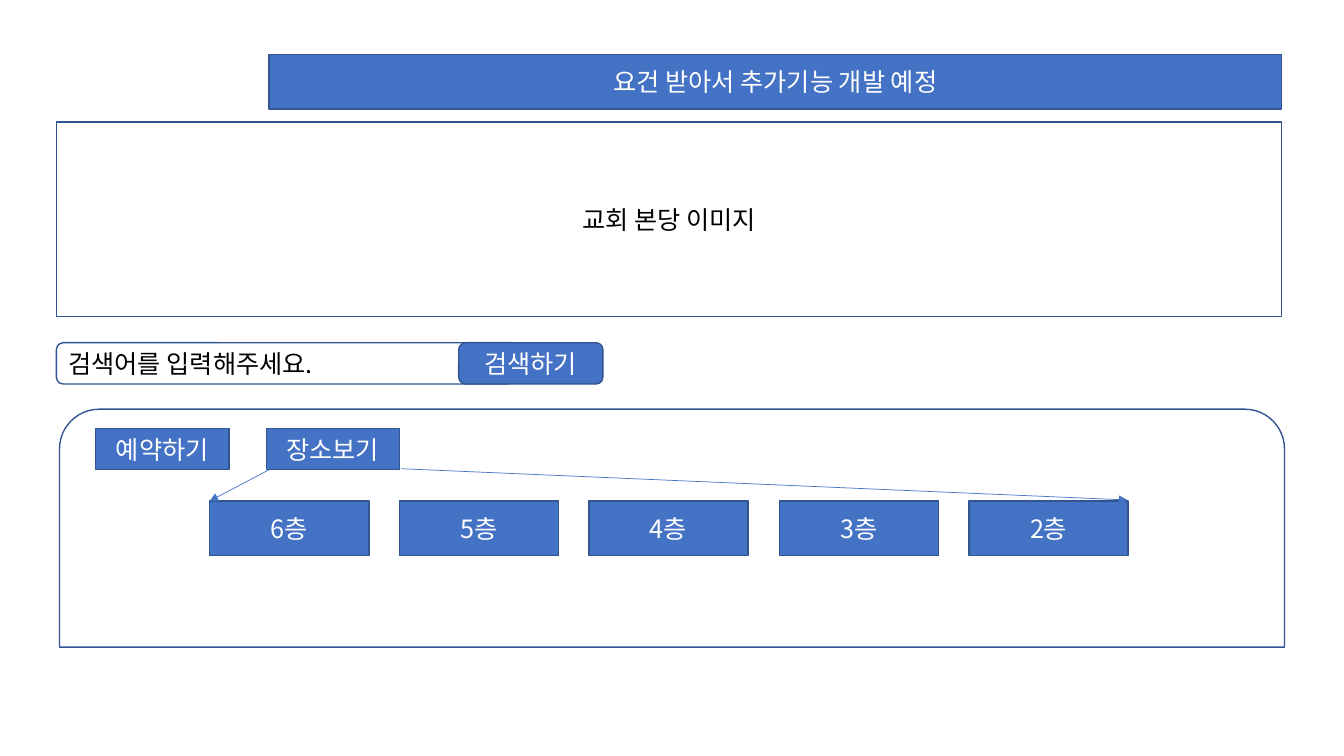
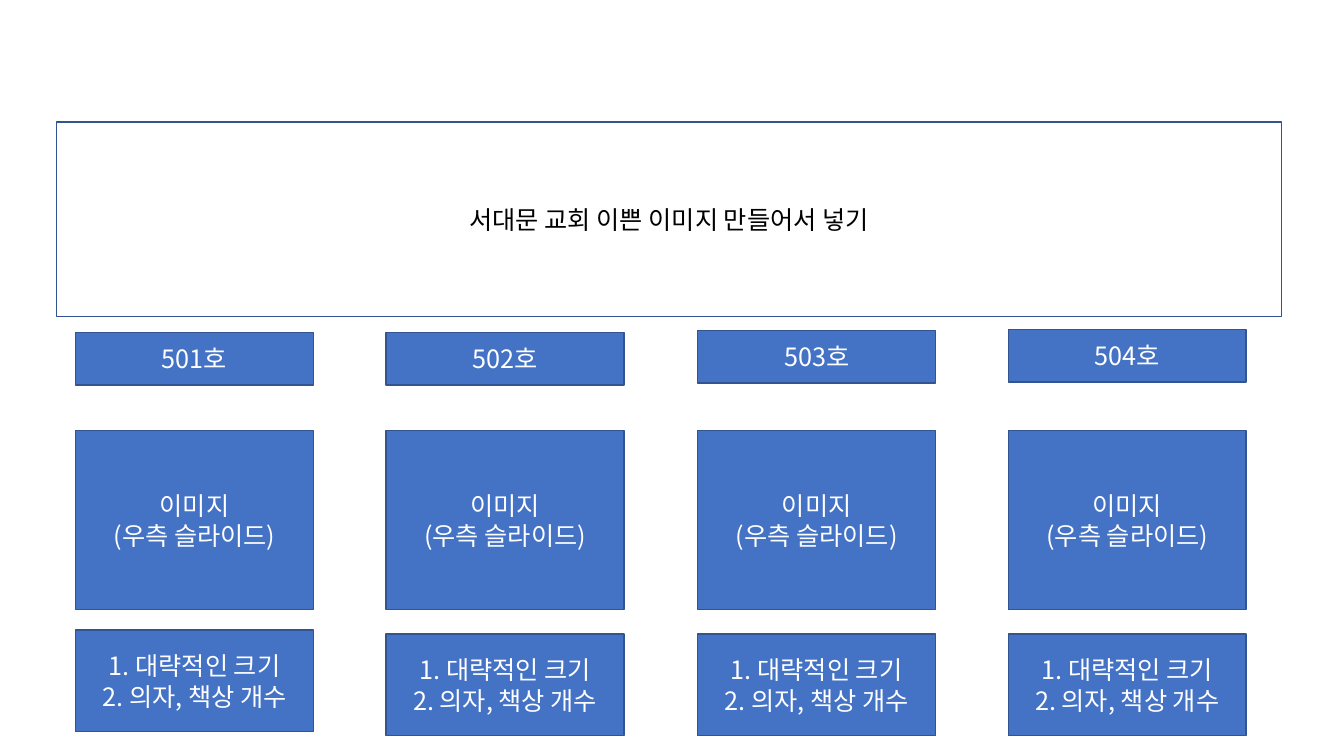
from dataclasses import dataclass

import pptx
import pptx.dml.color
import pptx.enum.shapes
import pptx.enum.text
import pptx.oxml
import pptx.oxml.ns
import pptx.shapes.base
import pptx.shapes.shapetree
import pptx.slide
import pptx.util

SHAPE = pptx.enum.shapes.MSO_SHAPE
ALIGN = pptx.enum.text.PP_ALIGN
EMU_PER_PX = 9144  # 100 px to the inch

BLUE, EDGE, WHITE, BLACK = "4472C4", "325491", "FFFFFF", "000000"
FONT = "Noto Sans CJK KR"
FONT_SIZE = 18


@dataclass(frozen=True)
class Box:
    left: int
    top: int
    width: int
    height: int
    text: str = ""
    preset: SHAPE = SHAPE.RECTANGLE
    fill: str | None = BLUE
    color: str = WHITE
    align: ALIGN = ALIGN.CENTER


@dataclass(frozen=True)
class Arrow:
    x1: int
    y1: int
    x2: int
    y2: int


def px(length: int) -> pptx.util.Emu:
    return pptx.util.Emu(length * EMU_PER_PX)


def rgb(value: str) -> pptx.dml.color.RGBColor:
    return pptx.dml.color.RGBColor.from_string(value)


def spread(first: int, last: int, count: int) -> list[int]:
    """Evenly spaced left edges from first to last."""
    return [round(first + i * (last - first) / (count - 1)) for i in range(count)]


def write(shape: pptx.shapes.base.BaseShape, text: str, *, color: str, align: ALIGN) -> None:
    frame = shape.text_frame
    frame.word_wrap = True
    frame.vertical_anchor = pptx.enum.text.MSO_ANCHOR.MIDDLE
    frame.text = text
    for paragraph in frame.paragraphs:
        paragraph.alignment = align
        for run in paragraph.runs:
            run.font.name = FONT
            run.font.size = pptx.util.Pt(FONT_SIZE)
            run.font.color.rgb = rgb(color)
            east_asian = pptx.oxml.parse_xml(
                f'<a:ea {pptx.oxml.ns.nsdecls("a")} typeface="{FONT}"/>')
            run.font._element.append(east_asian)


def draw_box(shapes: pptx.shapes.shapetree.GroupShapes | pptx.shapes.shapetree.SlideShapes,
             box: Box) -> None:
    shape = shapes.add_shape(box.preset, px(box.left), px(box.top), px(box.width), px(box.height))
    shape.shadow.inherit = False
    if box.fill is None:
        shape.fill.background()
    else:
        shape.fill.solid()
        shape.fill.fore_color.rgb = rgb(box.fill)
    shape.line.color.rgb = rgb(EDGE)
    shape.line.width = pptx.util.Pt(1)
    if box.text:
        write(shape, box.text, color=box.color, align=box.align)


def draw_arrow(slide: pptx.slide.Slide, arrow: Arrow) -> None:
    line = slide.shapes.add_connector(
        pptx.enum.shapes.MSO_CONNECTOR.STRAIGHT,
        px(arrow.x1), px(arrow.y1), px(arrow.x2), px(arrow.y2))
    line.line.color.rgb = rgb(BLUE)
    line.line.width = pptx.util.Pt(0.5)
    namespace = pptx.oxml.ns.nsdecls("a")
    line.line._get_or_add_ln().append(
        pptx.oxml.parse_xml(f'<a:tailEnd {namespace} type="triangle"/>'))
    line._element.spPr.append(pptx.oxml.parse_xml(f"<a:effectLst {namespace}/>"))


def draw_hero(slide: pptx.slide.Slide, text: str) -> None:
    draw_box(slide.shapes, Box(56, 121, 1215, 193, text, fill=None, color=BLACK))


def build_home(slide: pptx.slide.Slide) -> None:
    draw_hero(slide, "교회 본당 이미지")

    # Search bar and content panel
    rounded = SHAPE.ROUNDED_RECTANGLE
    draw_box(slide.shapes, Box(56, 340, 454, 41, "검색어를 입력해주세요.", rounded,
                               fill=None, color=BLACK, align=ALIGN.LEFT))
    draw_box(slide.shapes, Box(455, 340, 143, 41, "검색하기", rounded))
    draw_box(slide.shapes, Box(59, 406, 1215, 236,
                               preset=SHAPE.ROUND_2_SAME_RECTANGLE, fill=WHITE))

    # Floors
    floors = slide.shapes.add_group_shape()
    for left, floor in zip(spread(208, 961, 5), range(6, 1, -1)):
        draw_box(floors.shapes, Box(left, 497, 158, 54, f"{floor}층"))

    # Notice and menu
    draw_box(slide.shapes, Box(267, 54, 1004, 54, "요건 받아서 추가기능 개발 예정"))
    for left, label in ((95, "예약하기"), (264, "장소보기")):
        draw_box(slide.shapes, Box(left, 425, 132, 41, label))

    # The place menu opens into the row of floors
    for arrow in (Arrow(267, 466, 208, 497), Arrow(398, 465, 1118, 496)):
        draw_arrow(slide, arrow)


def build_rooms(slide: pptx.slide.Slide) -> None:
    draw_hero(slide, "서대문 교회 이쁜 이미지 만들어서 넣기")

    # One column per room: number, image, details
    number_tops = (330, 330, 328, 327)
    detail_tops = (625, 629, 629, 629)
    columns = zip(spread(75, 1000, 4), number_tops, detail_tops)
    for room, (left, number_top, detail_top) in enumerate(columns, start=501):
        for top, height, text in (
            (number_top, 52, f"{room}호"),
            (427, 178, "이미지\n(우측 슬라이드)"),
            (detail_top, 101, "1. 대략적인 크기\n2. 의자, 책상 개수"),
        ):
            draw_box(slide.shapes, Box(left, top, 236, height, text))


def main() -> None:
    deck = pptx.Presentation()
    deck.slide_width, deck.slide_height = px(1333), px(750)
    blank = deck.slide_layouts[6]
    for build in (build_home, build_rooms):
        build(deck.slides.add_slide(blank))
    deck.save("out.pptx")


if __name__ == "__main__":
    main()
